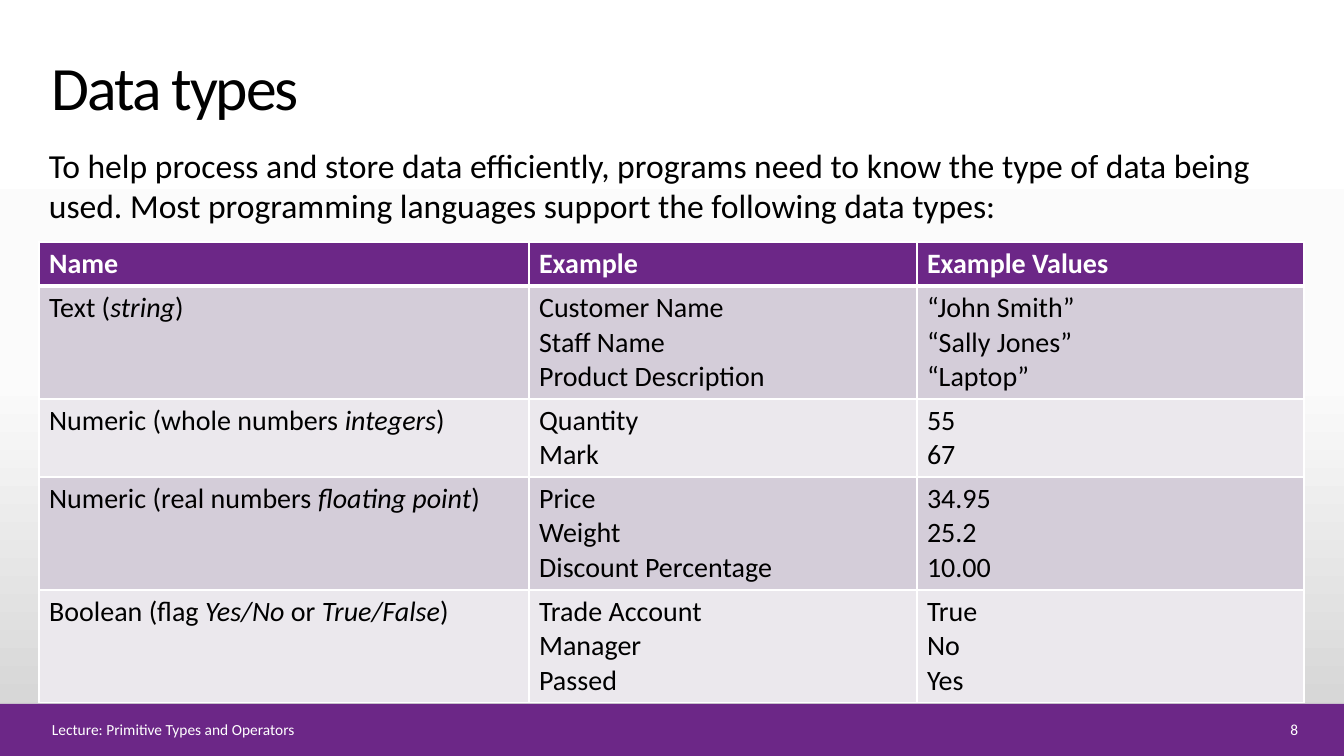
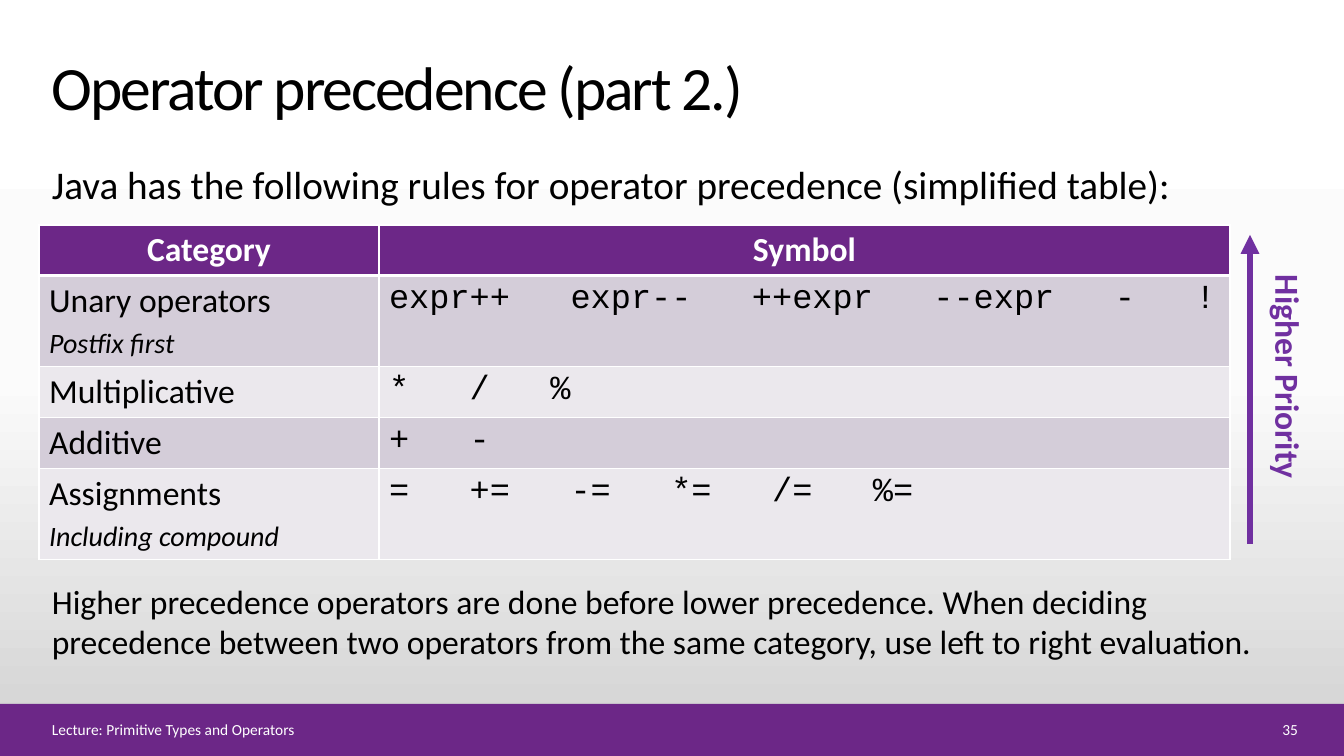
"""Build two lecture slides on data types and operator precedence."""
from dataclasses import dataclass

from lxml import etree
from pptx import Presentation
from pptx.dml.color import RGBColor
from pptx.enum.shapes import MSO_CONNECTOR, MSO_SHAPE
from pptx.enum.text import MSO_ANCHOR, PP_ALIGN
from pptx.oxml.ns import qn
from pptx.util import Inches, Pt

RECTANGLE = MSO_SHAPE.RECTANGLE
STRAIGHT = MSO_CONNECTOR.STRAIGHT
TOP, MIDDLE, BOTTOM = MSO_ANCHOR.TOP, MSO_ANCHOR.MIDDLE, MSO_ANCHOR.BOTTOM
CENTER, RIGHT = PP_ALIGN.CENTER, PP_ALIGN.RIGHT
PX = 914400 / 100.8
MONO_ADVANCE = Inches(0.2)
SYMBOL_GAP = 3


@dataclass(frozen=True)
class Theme:
    """Colours, fonts and type sizes of the deck."""
    band: str = "6C2787"
    accent: str = "7030A0"
    ink: str = "000000"
    white: str = "FFFFFF"
    rows: tuple = ("D4CDD9", "EBE8ED")
    backdrop: tuple = ((0, "FFFFFF"), (50, "FBFBFB"), (100, "D1D1D1"))
    sans: str = "Calibri"
    mono: str = "Courier New"
    title: int = 44
    lead: int = 28
    body: int = 24
    small: int = 20
    footer: int = 11


theme = Theme()


def write(frame, lines, size, color=theme.ink, name=theme.sans, bold=False,
          spacing=0, **paragraph_format):
    """Fill a text frame; underscores enclose italics, tabs get stops."""
    for index, line in enumerate(lines):
        paragraph = frame.paragraphs[0] if index == 0 else frame.add_paragraph()
        for attribute, value in paragraph_format.items():
            setattr(paragraph, attribute, value)
        if "\t" in line:
            tab_list = etree.SubElement(paragraph._p.get_or_add_pPr(), qn("a:tabLst"))
            column = 0
            for symbol in line.split("\t")[:-1]:
                column += len(symbol) + SYMBOL_GAP
                etree.SubElement(tab_list, qn("a:tab"), pos=str(column * MONO_ADVANCE), algn="l")
        for position, text in enumerate(line.split("_")):
            if not text:
                continue
            italic = position % 2 == 1
            run = paragraph.add_run()
            run.text = text
            font_format = {"name": name, "size": Pt(theme.small if italic else size),
                           "bold": bold, "italic": italic}
            for attribute, value in font_format.items():
                setattr(run.font, attribute, value)
            run.font.color.rgb = RGBColor.from_string(color)
            if spacing:
                run._r.get_or_add_rPr().set("spc", str(spacing))


def add_text(slide, box, text, size, anchor=TOP, **text_format):
    """Add a wrapping text box at a px box and return its frame."""
    frame = slide.shapes.add_textbox(*(round(length * PX) for length in box)).text_frame
    frame.word_wrap = True
    frame.vertical_anchor = anchor
    write(frame, [text], size, **text_format)
    return frame


presentation = Presentation()
presentation.slide_width = round(1344 * PX)
presentation.slide_height = round(756 * PX)

master = presentation.slide_master
master.background.fill.gradient()
stop_list = master.element.find(".//" + qn("a:gsLst"))
for stop in list(stop_list):
    stop_list.remove(stop)
for percent, color in theme.backdrop:
    stop = etree.SubElement(stop_list, qn("a:gs"), pos=str(percent * 1000))
    etree.SubElement(stop, qn("a:srgbClr"), val=color)
master.element.find(".//" + qn("a:lin")).set("ang", "5400000")

pages = [
    {
        "title": "Data types",
        "number": "8",
        "texts": [
            ((39, 140, 1265, 92), theme.body,
             "To help process and store data efficiently, programs need to know the type of "
             "data being used. Most programming languages support the following data types:"),
        ],
        "top": 242,
        "columns": [490, 388, 387],
        "heights": [44, 113, 78, 113, 113],
        "size": theme.small,
        "header": {},
        "space": 0,
        "fonts": [theme.sans] * 3,
        "cells": [
            [["Name"], ["Example"], ["Example Values"]],
            [["Text (_string_)"],
             ["Customer Name", "Staff Name", "Product Description"],
             ["“John Smith”", "“Sally Jones”", "“Laptop”"]],
            [["Numeric (whole numbers _integers_)"], ["Quantity", "Mark"], ["55", "67"]],
            [["Numeric (real numbers _floating point_)"],
             ["Price", "Weight", "Discount Percentage"],
             ["34.95", "25.2", "10.00"]],
            [["Boolean (flag _Yes/No_ or _True/False_)"],
             ["Trade Account", "Manager", "Passed"],
             ["True", "No", "Yes"]],
        ],
    },
    {
        "title": "Operator precedence (part 2.)",
        "number": "35",
        "texts": [
            ((42, 155, 1265, 58), theme.lead,
             "Java has the following rules for operator precedence (simplified table):"),
            ((42, 576, 1265, 92), theme.body,
             "Higher precedence operators are done before lower precedence. When deciding "
             "precedence between two operators from the same category, use left to right "
             "evaluation."),
        ],
        "top": 225,
        "columns": [340, 851],
        "heights": [50, 91, 51, 51, 91],
        "size": theme.body,
        "header": {"alignment": CENTER},
        "space": 4,
        "fonts": [theme.sans, theme.mono],
        "cells": [
            [["Category"], ["Symbol"]],
            [["Unary operators", "_Postfix first_"],
             ["expr++\texpr--\t++expr\t--expr\t-\t!"]],
            [["Multiplicative"], ["*\t/\t%"]],
            [["Additive"], ["+\t-"]],
            [["Assignments", "_Including compound_"], ["=\t+=\t-=\t*=\t/=\t%="]],
        ],
    },
]

for page in pages:
    slide = presentation.slides.add_slide(presentation.slide_layouts[6])
    band = slide.shapes.add_shape(RECTANGLE, 0, round(704 * PX), round(1344 * PX), round(52 * PX))
    band.shadow.inherit = False
    band.fill.solid()
    band.fill.fore_color.rgb = RGBColor.from_string(theme.band)
    band.line.fill.background()
    add_text(slide, (42, 40, 1048, 88), page["title"], theme.title, BOTTOM, spacing=-150)
    add_text(slide, (42, 718, 1174, 23), "Lecture: Primitive Types and Operators",
             theme.footer, MIDDLE, color=theme.white)
    add_text(slide, (1233, 718, 75, 23), page["number"], theme.footer, MIDDLE,
             color=theme.white, alignment=RIGHT)
    for box, size, text in page["texts"]:
        add_text(slide, box, text, size)

    cells, columns, heights = page["cells"], page["columns"], page["heights"]
    table = slide.shapes.add_table(
        len(cells), len(columns), round(39 * PX), round(page["top"] * PX),
        round(sum(columns) * PX), round(sum(heights) * PX)).table
    table.horz_banding = False
    for column, width in zip(table.columns, columns):
        column.width = round(width * PX)
    for row_index, (row, height) in enumerate(zip(table.rows, heights)):
        row.height = round(height * PX)
        is_header = row_index == 0
        fill = theme.band if is_header else theme.rows[(row_index - 1) % 2]
        for column_index, cell in enumerate(row.cells):
            properties = cell._tc.get_or_add_tcPr()
            borders = {"lnL": 1, "lnR": 1, "lnT": 3 if row_index == 1 else 1,
                       "lnB": 3 if is_header else 1}
            for side, points in borders.items():
                border = etree.SubElement(properties, qn("a:" + side), w=str(Pt(points)))
                border_fill = etree.SubElement(border, qn("a:solidFill"))
                etree.SubElement(border_fill, qn("a:srgbClr"), val=theme.white)
            cell.fill.solid()
            cell.fill.fore_color.rgb = RGBColor.from_string(fill)
            text_format = {"space_before": Pt(page["space"])}
            if is_header:
                text_format.update(page["header"], color=theme.white, bold=True)
            else:
                text_format["name"] = page["fonts"][column_index]
            write(cell.text_frame, cells[row_index][column_index], page["size"], **text_format)

arrow = slide.shapes.add_connector(
    STRAIGHT, *(round(length * PX) for length in (1250, 235, 1250, 544)))
arrow.line.color.rgb = RGBColor.from_string(theme.accent)
arrow.line.width = Pt(4.5)
etree.SubElement(arrow.line._get_or_add_ln(), qn("a:headEnd"), type="triangle")
etree.SubElement(arrow._element.spPr, qn("a:effectLst"))
priority = add_text(slide, (1253, 265, 61, 255), "Higher Priority", theme.body,
                    color=theme.accent, bold=True)
priority._txBody.bodyPr.set("vert", "eaVert")

presentation.save("out.pptx")
